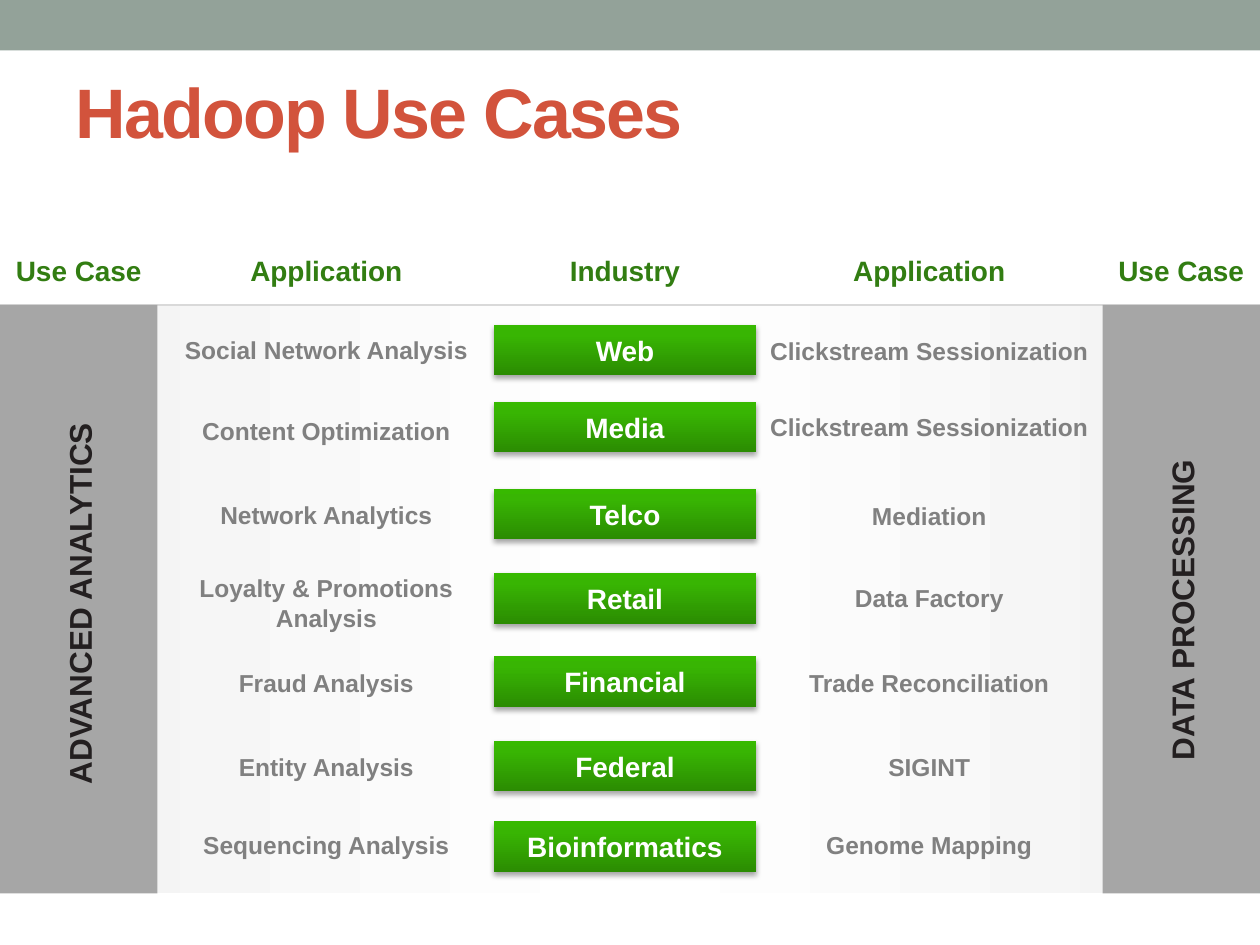
from pptx import Presentation
from pptx.dml.color import RGBColor
from pptx.enum.shapes import MSO_CONNECTOR as CONNECTOR, MSO_SHAPE as SHAPE
from pptx.enum.text import MSO_ANCHOR as ANCHOR, MSO_AUTO_SIZE as AUTO_SIZE, PP_ALIGN as ALIGN
from pptx.oxml.ns import qn
from pptx.util import Inches, Pt
from lxml.etree import SubElement

GREEN_STOPS = [(0, "2B8C02"), (80, "38B503"), (100, "37B900")]
PANEL_STOPS = [(0, "F2F2F2"), (50, "FFFFFF"), (100, "F2F2F2")]
BODY_TOP, BODY_HEIGHT = 2.42, 4.67
SIDE_WIDTH = 1.25
COLUMNS = {"analytics": (1.25, 2.68), "industry": (3.92, 2.08), "processing": (6, 2.75)}

ROWS = [
    (("Social Network Analysis", 2.61), ("Web", 2.58), ("Clickstream Sessionization", 2.62)),
    (("Content Optimization", 3.25), ("Media", 3.19), ("Clickstream Sessionization", 3.22)),
    (("Network Analytics", 3.92), ("Telco", 3.88), ("Mediation", 3.93)),
    (("Loyalty & Promotions Analysis", 4.5), ("Retail", 4.55), ("Data Factory", 4.58)),
    (("Fraud Analysis", 5.25), ("Financial", 5.21), ("Trade Reconciliation", 5.25)),
    (("Entity Analysis", 5.92), ("Federal", 5.88), ("SIGINT", 5.92)),
    (("Sequencing Analysis", 6.54), ("Bioinformatics", 6.52), ("Genome Mapping", 6.54)),
]


def color(value):
    return RGBColor.from_string(value)


def write(shape, text, size, hue, align=ALIGN.CENTER):
    shape.text_frame.word_wrap = True
    paragraph = shape.text_frame.paragraphs[0]
    paragraph.text = text
    paragraph.alignment = align
    font = paragraph.runs[0].font
    font.name, font.size, font.bold = "Arial", Pt(size), True
    font.color.rgb = color(hue)


def add_label(slide, box, text, size, hue, rotation=0):
    label = slide.shapes.add_textbox(*map(Inches, box))
    write(label, text, size, hue)
    label.text_frame.auto_size = AUTO_SIZE.SHAPE_TO_FIT_TEXT
    label.rotation = rotation


def add_block(slide, box, fill=None):
    block = slide.shapes.add_shape(SHAPE.RECTANGLE, *map(Inches, box))
    block.shadow.inherit = False
    block.line.fill.background()
    if fill:
        block.fill.solid()
        block.fill.fore_color.rgb = color(fill)
    return block


def add_gradient(shape, stops, angle):
    shape.fill.gradient()
    gradient = shape.element.spPr.find(qn("a:gradFill"))
    stop_list = gradient.find(qn("a:gsLst"))
    for default_stop in list(stop_list):
        stop_list.remove(default_stop)
    for position, hue in stops:
        stop = SubElement(stop_list, qn("a:gs"), pos=str(position * 1000))
        SubElement(stop, qn("a:srgbClr"), val=hue)
    gradient.find(qn("a:lin")).set("ang", str(angle * 60000))


def add_shadow(shape):
    effects = shape.element.spPr.find(qn("a:effectLst"))
    shadow = SubElement(effects, qn("a:outerShdw"), blurRad=str(Pt(3.1)),
                        dist=str(Pt(1.8)), dir="5400000", rotWithShape="0")
    hue = SubElement(shadow, qn("a:srgbClr"), val="000000")
    SubElement(hue, qn("a:alpha"), val="35000")


def add_title(slide, box):
    title = slide.shapes.add_textbox(*map(Inches, box))
    write(title, "Hadoop Use Cases", 40, "D2533C", ALIGN.LEFT)
    title.text_frame.vertical_anchor = ANCHOR.MIDDLE
    run = title.text_frame.paragraphs[0].runs[0]
    run.font._element.set("spc", "-100")


def add_panel(slide, box):
    left, top, width, _ = box
    add_gradient(add_block(slide, box), PANEL_STOPS, 0)
    rule = slide.shapes.add_connector(
        CONNECTOR.STRAIGHT, *map(Inches, (left, top, left + width, top)))
    rule.line.color.rgb = color("D9D9D9")
    rule.line.width = Pt(0.75)
    SubElement(rule.element.spPr, qn("a:effectLst"))


def add_use_case(slide, box, text, label_center):
    left, _, width, _ = box
    label_width, label_height = 3.86, 0.4
    add_block(slide, box, "A6A6A6")
    middle, center = label_center
    label_box = (middle - label_width / 2, center - label_height / 2, label_width, label_height)
    add_label(slide, label_box, text, 18, "231F20", 270)
    add_header(slide, left, width, "Use Case")


def add_header(slide, left, width, text):
    add_label(slide, (left, 1.96, width, 0.37), text, 16, "327D12")


def add_applications(slide, column, entries):
    left, width = column
    add_header(slide, left, width, "Application")
    for text, top in entries:
        add_label(slide, (left, top, width, 0.34), text, 14, "808080")


def add_industries(slide, column, entries):
    left, width = column
    add_header(slide, left, width, "Industry")
    for text, top in entries:
        button = add_block(slide, (left, top, width, 0.4))
        add_gradient(button, GREEN_STOPS, 270)
        add_shadow(button)
        write(button, text, 16, "FFFFFF")
        button.text_frame.vertical_anchor = ANCHOR.MIDDLE


def main():
    deck = Presentation()
    deck.slide_width, deck.slide_height = Inches(10), Inches(7.5)
    slide = deck.slides.add_slide(deck.slide_layouts[6])
    add_block(slide, (0, 0, 10, 0.4), "93A299")
    add_title(slide, (0.5, 0.42, 9, 0.92))
    add_panel(slide, (0, BODY_TOP, 10, BODY_HEIGHT))
    add_use_case(slide, (0, BODY_TOP, SIDE_WIDTH, BODY_HEIGHT), "ADVANCED ANALYTICS", (0.63, 4.79))
    add_use_case(slide, (10 - SIDE_WIDTH, BODY_TOP, SIDE_WIDTH, BODY_HEIGHT),
                 "DATA PROCESSING", (9.38, 4.84))
    analytics, industries, processing = zip(*ROWS)
    add_applications(slide, COLUMNS["analytics"], analytics)
    add_industries(slide, COLUMNS["industry"], industries)
    add_applications(slide, COLUMNS["processing"], processing)
    deck.save("out.pptx")


if __name__ == "__main__":
    main()
